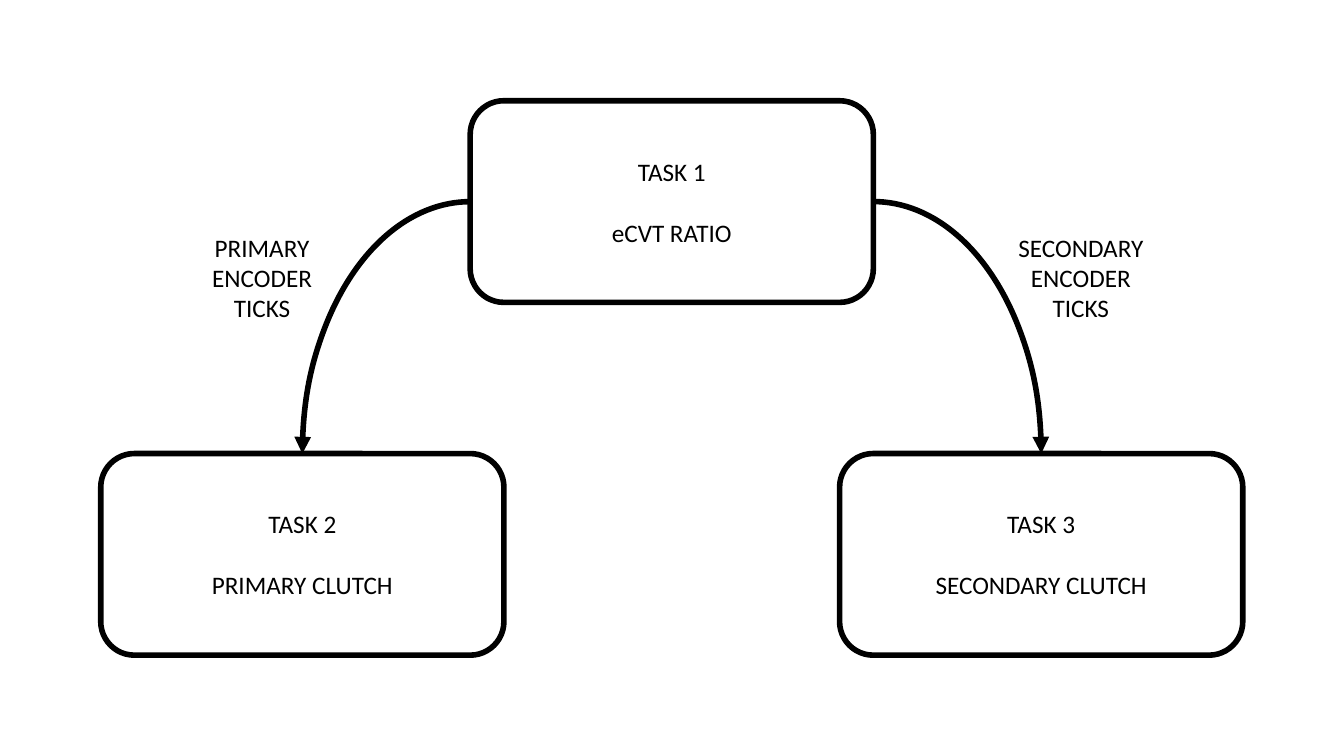
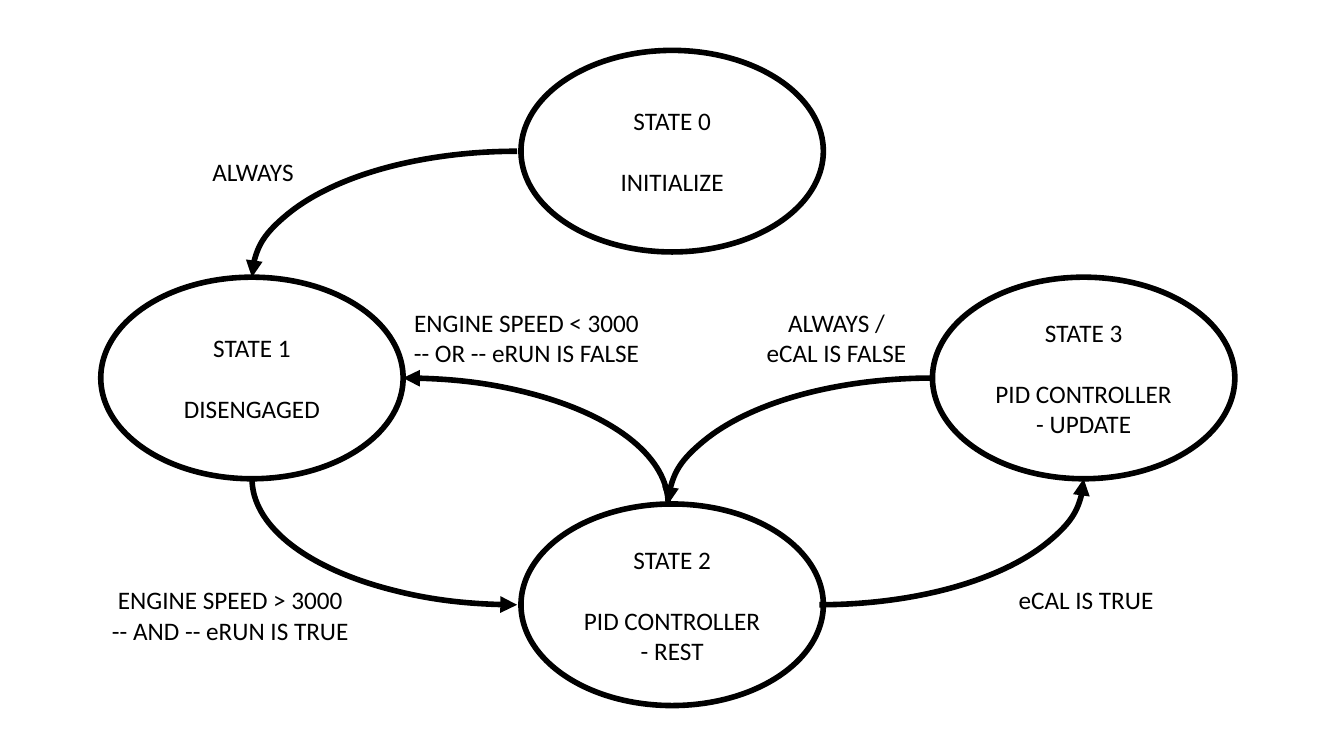
import dataclasses

import pptx
import pptx.dml.color
import pptx.enum.shapes
import pptx.enum.text
import pptx.oxml.ns
import pptx.util
from lxml import etree

Cm = pptx.util.Cm
Pt = pptx.util.Pt
SHAPES = pptx.enum.shapes.MSO_SHAPE
ANCHOR = pptx.enum.text.MSO_ANCHOR
qn = pptx.oxml.ns.qn

# Shared style
INK = pptx.dml.color.RGBColor(0x00, 0x00, 0x00)
FONT = "Calibri"
TEXT_SIZE = Pt(18)
TITLE_GAP = Pt(22)
STROKE = Pt(4)


@dataclasses.dataclass
class Box:
    """A rectangle in centimetres."""
    left: float
    top: float
    width: float
    height: float

    def inner(self, dx, dy, width, height):
        return Box(self.left + dx, self.top + dy, width, height)

    def side(self, name):
        across, down = {"top": (0.5, 0), "left": (0, 0.5),
                        "bottom": (0.5, 1), "right": (1, 0.5)}[name]
        return self.left + across * self.width, self.top + down * self.height

    def lengths(self):
        return Cm(self.left), Cm(self.top), Cm(self.width), Cm(self.height)


def write_lines(frame, lines):
    for index, line in enumerate(lines):
        para = frame.paragraphs[0] if index == 0 else frame.add_paragraph()
        para.text = line
        para.alignment = pptx.enum.text.PP_ALIGN.CENTER
        para.font.name = FONT
        para.font.size = TEXT_SIZE
        para.font.color.rgb = INK


def add_outline(page, kind, box):
    shape = page.shapes.add_shape(kind, *box.lengths())
    shape.shadow.inherit = False
    shape.fill.background()
    shape.line.color.rgb = INK
    shape.line.width = STROKE
    return shape


def add_node(page, kind, box, title, *details):
    """Draw an outlined node with a title set apart from its details."""
    frame = add_outline(page, kind, box).text_frame
    frame.word_wrap = True
    frame.vertical_anchor = ANCHOR.MIDDLE
    write_lines(frame, (title, *details))
    frame.paragraphs[1].space_before = TITLE_GAP


def add_label(page, area, dx, dy, width, *lines):
    height = 0.25 + 0.77 * len(lines)
    label = page.shapes.add_textbox(*area.inner(dx, dy, width, height).lengths())
    frame = label.text_frame
    frame.word_wrap = False
    frame.auto_size = pptx.enum.text.MSO_AUTO_SIZE.SHAPE_TO_FIT_TEXT
    write_lines(frame, lines)


def add_curve(page, tail, tip, rotation, flip=False):
    """Draw a quarter ellipse from tail to tip, with the arrowhead at tip."""
    sideways = rotation in (90, 270)
    center_x, center_y = (tail[0], tip[1]) if sideways else (tip[0], tail[1])
    width, height = 2 * abs(tip[0] - tail[0]), 2 * abs(tip[1] - tail[1])
    if sideways:
        width, height = height, width
    box = Box(center_x - width / 2, center_y - height / 2, width, height)
    curve = add_outline(page, SHAPES.ARC, box)
    curve.rotation = rotation
    properties = curve.element.spPr
    if flip:
        properties.find(qn("a:xfrm")).set("flipV", "1")
    etree.SubElement(properties.find(qn("a:ln")), qn("a:headEnd"), type="triangle")


def draw_tasks(page, area):
    """One parent task above two child tasks."""
    width, height = 10.16, 5.08
    right, lower = area.width - width, area.height - height
    ratio = area.inner(right / 2, 0, width, height)
    primary = area.inner(0, lower, width, height)
    secondary = area.inner(right, lower, width, height)

    # Tasks
    for box, title, detail in (
        (ratio, "TASK 1", "eCVT RATIO"),
        (primary, "TASK 2", "PRIMARY CLUTCH"),
        (secondary, "TASK 3", "SECONDARY CLUTCH"),
    ):
        add_node(page, SHAPES.ROUNDED_RECTANGLE, box, title, detail)

    # Data passed on
    add_curve(page, ratio.side("left"), primary.side("top"), 270)
    add_curve(page, ratio.side("right"), secondary.side("top"), 270, flip=True)
    add_label(page, area, 2.54, 3.18, 3.05, "PRIMARY", "ENCODER", "TICKS")
    add_label(page, area, 22.86, 3.18, 3.68, "SECONDARY", "ENCODER", "TICKS")


def draw_states(page, area):
    """Four states and the transitions between them."""
    width, height = 7.62, 5.08
    middle, right = 10.59, area.width - width
    center, lower = (area.height - height) / 2, area.height - height
    start = area.inner(middle, 0, width, height)
    disengaged = area.inner(0, center, width, height)
    update = area.inner(right, center, width, height)
    rest = area.inner(middle, lower, width, height)

    # States
    for box, *lines in (
        (start, "STATE 0", "INITIALIZE"),
        (disengaged, "STATE 1", "DISENGAGED"),
        (update, "STATE 3", "PID CONTROLLER", "- UPDATE"),
        (rest, "STATE 2", "PID CONTROLLER", "- REST"),
    ):
        add_node(page, SHAPES.OVAL, box, *lines)

    # Transitions meet the middle column slightly to its left
    start_port = start.inner(-0.1, 0, width, height)
    rest_port = rest.inner(-0.1, 0, width, height)
    for tail, tip, rotation in (
        (start_port.side("left"), disengaged.side("top"), 270),
        (rest_port.side("right"), update.side("bottom"), 90),
        (update.side("left"), rest_port.side("top"), 270),
        (disengaged.side("bottom"), rest_port.side("left"), 180),
        (rest_port.side("top"), disengaged.side("right"), 0),
    ):
        add_curve(page, tail, tip, rotation)

    # Conditions
    for dx, dy, label_width, *lines in (
        (2.54, 2.54, 2.59, "ALWAYS"),
        (0, 13.34, 6.53, "ENGINE SPEED > 3000", "-- AND -- eRUN IS TRUE"),
        (7.62, 6.35, 6.22, "ENGINE SPEED < 3000", "-- OR -- eRUN IS FALSE"),
        (16.51, 6.35, 4.06, "ALWAYS /", "eCAL IS FALSE"),
        (22.86, 13.34, 3.94, "eCAL IS TRUE"),
    ):
        add_label(page, area, dx, dy, label_width, *lines)


def main():
    deck = pptx.Presentation()
    deck.slide_width, deck.slide_height = Cm(33.87), Cm(19.05)
    blank = deck.slide_layouts[6]
    draw_tasks(deck.slides.add_slide(blank), Box(2.54, 2.54, 28.78, 13.97))
    draw_states(deck.slides.add_slide(blank), Box(2.54, 1.27, 28.58, 16.51))
    deck.save("out.pptx")


if __name__ == "__main__":
    main()
